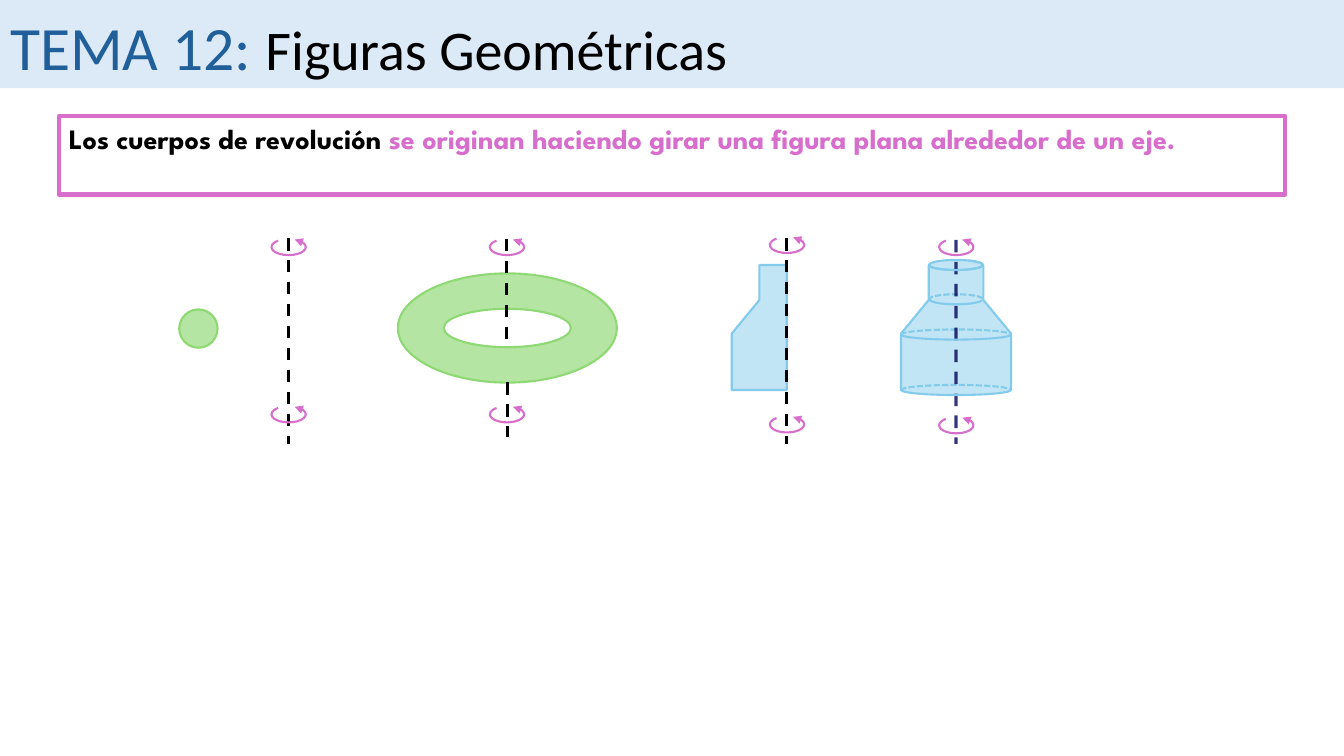
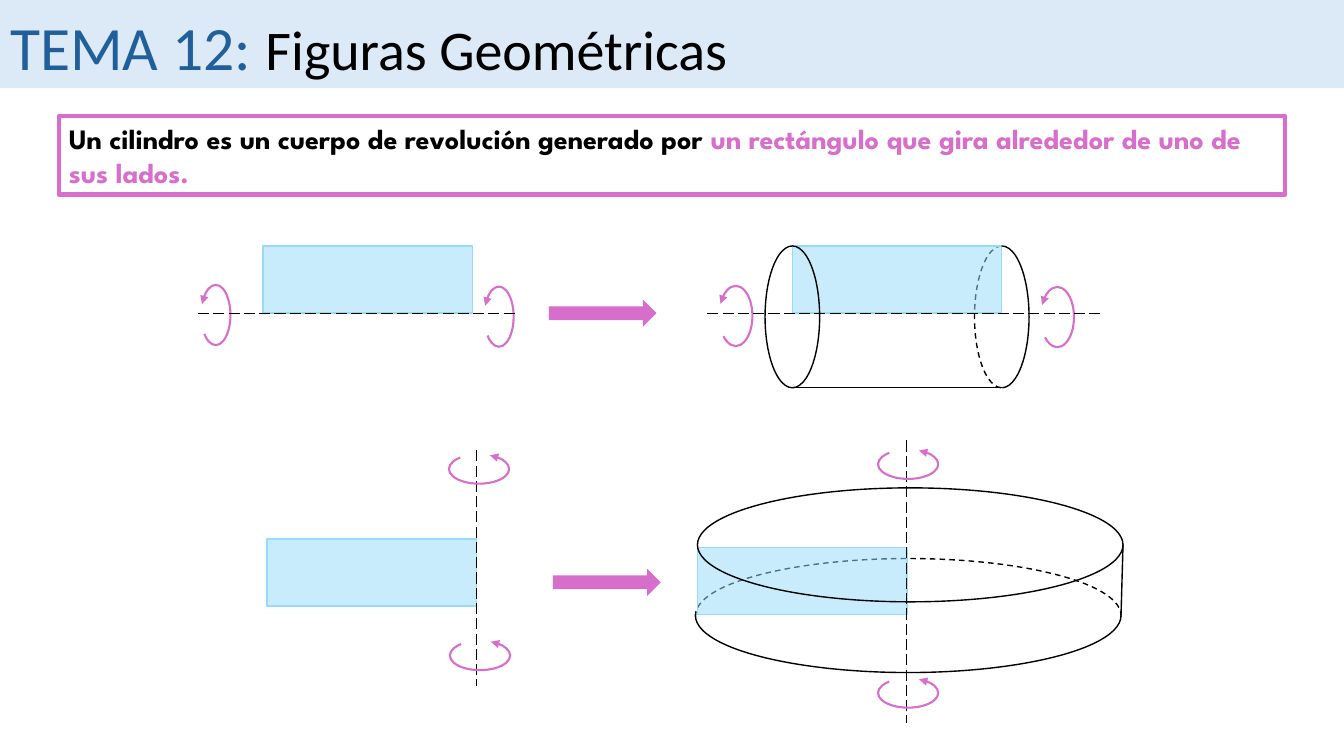
from lxml import etree
from pptx import Presentation
from pptx.dml.color import RGBColor
from pptx.enum.dml import MSO_LINE
from pptx.enum.shapes import MSO_CONNECTOR, MSO_SHAPE
from pptx.enum.text import MSO_ANCHOR, MSO_AUTO_SIZE, PP_ALIGN
from pptx.oxml.ns import qn
from pptx.util import Pt

RECT, ELLIPSE, ARC = MSO_SHAPE.RECTANGLE, MSO_SHAPE.OVAL, MSO_SHAPE.ARC
RIGHT_ARROW, STRAIGHT = MSO_SHAPE.RIGHT_ARROW, MSO_CONNECTOR.STRAIGHT
DASH, SYS_DASH, LONG_DASH = MSO_LINE.DASH, MSO_LINE.SQUARE_DOT, MSO_LINE.LONG_DASH
TOP, LEFT, NO_FIT = MSO_ANCHOR.TOP, PP_ALIGN.LEFT, MSO_AUTO_SIZE.NONE

COLORS = {
    "black": "000000", "band": "DCEAF7", "heading": "215F9A", "pink": "D86ECC",
    "green": "B4E5A2", "green_edge": "8ED973", "blue": "C1E5F5",
    "blue_edge": "83CBEB", "sky": "96DCF8", "navy": "000059",
}
# Each pen: colour, width, dash, opacity in percent
PENS = {
    "frame": ("pink", 3, None, 100),
    "spin": ("pink", 1.5, None, 100),
    "ring": ("green_edge", 1.5, None, 100),
    "solid": ("blue_edge", 1.5, None, 100),
    "base": ("blue", 1.5, None, 100),
    "hidden": ("blue_edge", 1.5, SYS_DASH, 100),
    "axis": ("black", 2.25, DASH, 100),
    "vessel_axis": ("navy", 2.25, DASH, 78),
    "thin_axis": ("black", 1, LONG_DASH, 100),
    "edge": ("black", 1, None, 100),
    "hidden_edge": ("black", 1, DASH, 100),
    "section": ("sky", 1, None, 100),
}
BAND = (0, 0, 960, 63)
TITLE = (0, 3, 853, 60.5)
FRAME = (42, 82.8, 876, 56.2)
DEFINITION = (42, 83.4, 876, 55.5)
SMALL_SPIN, BIG_SPIN, WIDE_SPIN = (24.5, 11.5), (43, 21), (43, 23.8)
SECTION_W, SECTION_H = 149.6, 48
SPIN_ANGLES = (328.77, 231.54)
QUARTER_CURVE = 0.55  # control distance of a quarter ellipse, in radii


def rgb(name):
    return RGBColor.from_string(COLORS[name])


def set_opacity(fill_parent, percent):
    if percent < 100:
        color = fill_parent.find(qn("a:solidFill")).find(qn("a:srgbClr"))
        etree.SubElement(color, qn("a:alpha")).set("val", str(percent * 1000))


def stroke(shape, pen):
    color, width, dash, opacity = PENS[pen]
    shape.line.color.rgb = rgb(color)
    shape.line.width = Pt(width)
    if dash:
        shape.line.dash_style = dash
    set_opacity(shape.line._get_or_add_ln(), opacity)


def paint(shape, fill=None, pen=None, opacity=100):
    shape.shadow.inherit = False
    if fill:
        shape.fill.solid()
        shape.fill.fore_color.rgb = rgb(fill)
        set_opacity(shape._element.spPr, opacity)
    else:
        shape.fill.background()
    if pen:
        stroke(shape, pen)
    else:
        shape.line.fill.background()
    return shape


def draw(scene, kind, box, fill=None, pen=None, opacity=100):
    return paint(scene.add_shape(kind, *map(Pt, box)), fill, pen, opacity)


def draw_line(scene, start, end, pen):
    line = scene.add_connector(STRAIGHT, *map(Pt, (*start, *end)))
    stroke(line, pen)
    etree.SubElement(line._element.spPr, qn("a:effectLst"))


def draw_arc(scene, box, start, end, pen, flip=False):
    """Arc of the ellipse in box, clockwise between two angles in degrees."""
    arc = draw(scene, ARC, box, pen=pen)
    for index, degrees in enumerate((start, end)):
        arc.adjustments[index] = degrees * 0.6
    if flip:
        arc._element.spPr.find(qn("a:xfrm")).set("flipH", "1")
    return arc


def draw_spin(scene, x, y, size, rotation=0):
    """Turning arrow centred on a point."""
    width, height = size
    box = (x - width / 2, y - height / 2, width, height)
    spin = draw_arc(scene, box, *SPIN_ANGLES, "spin", flip=True)
    spin.rotation = rotation
    etree.SubElement(spin.line._get_or_add_ln(), qn("a:tailEnd")).set("type", "triangle")


def draw_outline(scene, contours, fill, pen):
    contours = [[(Pt(x), Pt(y)) for x, y in contour] for contour in contours]
    builder = scene.build_freeform(*contours[0][0])
    for index, contour in enumerate(contours):
        if index:
            builder.move_to(*contour[0])
        builder.add_line_segments(contour[1:], close=True)
    return paint(builder.convert_to_shape(), fill, pen)


def ellipse_corners(x, y, width, height, turn):
    """Closed round of the four extreme points; turn is 1 or -1."""
    across, down = turn * width / 2, height / 2
    return [(x, y - down), (x + across, y), (x, y + down), (x - across, y), (x, y - down)]


def round_quarters(outline):
    """Turn each straight side of ellipse_corners into a quarter ellipse."""
    for path in outline._element.iter(qn("a:path")):
        for step in list(path):
            if step.tag == qn("a:close"):
                continue
            point = tuple(int(step[0].get(axis)) for axis in "xy")
            if step.tag == qn("a:moveTo"):
                start, vertical = point, True
                continue
            factors = (QUARTER_CURVE, 1) if vertical else (1, QUARTER_CURVE)
            first, second = (
                [round(a + (b - a) * k) for a, b, k in zip(origin, target, weights)]
                for origin, target, weights in (
                    (start, point, (factors[0] % 1, factors[1] % 1)),
                    (point, start, (factors[1] % 1, factors[0] % 1))))
            curve = etree.Element(qn("a:cubicBezTo"))
            for x, y in (first, second, point):
                etree.SubElement(curve, qn("a:pt"), x=str(x), y=str(y))
            path.replace(step, curve)
            start, vertical = point, not vertical


def vessel_profile(axis, top):
    """Right-hand outline of the vessel, from neck to base."""
    return [(axis + radius, top + depth)
            for radius, depth in ((19.5, 0), (19.5, 25), (39.3, 49), (39.3, 89.3))]


def add_small_spins(scene, axis, *levels):
    for level in levels:
        draw_spin(scene, axis + 0.2, level, SMALL_SPIN)


def circle_scene(scene, axis, top):
    draw(scene, ELLIPSE, (axis - 78, top + 51, 27.4, 27.4), "green", "ring")
    draw_line(scene, (axis, top), (axis, top + 147), "axis")
    add_small_spins(scene, axis, top + 6.5, top + 126)


def ring_scene(scene, axis, top):
    center = top + 64.3
    ring = draw_outline(scene, [ellipse_corners(axis + 0.4, center, 90.8, 27.4, -1),
                                ellipse_corners(axis + 0.4, center, 156.5, 78, 1)],
                        "green", "ring")
    round_quarters(ring)
    for x, start, end in ((axis, 0.7, 76.2), (axis + 0.5, 103, 142.5)):
        draw_line(scene, (x, top + start), (x, top + end), "axis")
    add_small_spins(scene, axis, top + 6.5, top + 126)


def half_vessel_scene(scene, axis, top):
    profile = [(2 * axis - x, y) for x, y in vessel_profile(axis, top + 19.3)]
    corners = [(axis, profile[-1][1]), (axis, profile[0][1])]
    draw_outline(scene, [profile + corners], "blue", "solid")
    draw_line(scene, (axis, top), (axis, top + 147), "axis")
    add_small_spins(scene, axis, top + 5, top + 133.2)


def vessel_scene(scene, axis, top):
    right = vessel_profile(axis, top + 19.3)
    left = [(2 * axis - x, y) for x, y in reversed(right)]
    draw_outline(scene, [right + left], "blue", "solid")

    def rim(width, depth, height=7.2):
        return (axis - width / 2, top + depth, width, height)

    mouth, neck, shoulder, base = rim(38.5, 15.7), rim(38.5, 40.2), rim(78.5, 65.4), rim(78.5, 105)
    draw(scene, ELLIPSE, mouth, "blue", "solid")
    draw(scene, ELLIPSE, rim(75, 105, 5.8), "blue", "base")
    for box, start, end in ((neck, 177.48, 0), (base, 179.46, 358.78), (shoulder, 179.46, 0)):
        draw_arc(scene, box, start, end, "hidden")
    draw_line(scene, (axis, top + 1.4), (axis, top + 147), "vessel_axis")
    for box, start, end in ((shoulder, 0.63, 180.23), (neck, 2.8, 180),
                            (mouth, 340.46, 175.12), (base, 0.63, 180.23)):
        draw_arc(scene, box, start, end, "solid")
    add_small_spins(scene, axis, top + 6.5, top + 133.8)


def draw_section(scene, left, top):
    draw(scene, RECT, (left, top, SECTION_W, SECTION_H), "sky", "section", 52)


def lying_rectangle_scene(scene, left, top):
    draw_section(scene, left, top)
    for x, y in ((-33.9, 49.3), (168.4, 50.5)):
        draw_spin(scene, left + x, top + y, BIG_SPIN, 270)
    axis = top + SECTION_H + 0.2
    draw_line(scene, (left - 46.5, axis), (left + 182, axis), "thin_axis")


def lying_cylinder_scene(scene, left, top):
    width, height = 39, 101.3
    right = left + SECTION_W
    far_end = (right - width / 2, top, width, height)
    draw_arc(scene, far_end, 270, 89.54, "hidden_edge", flip=True)
    draw_section(scene, left, top)
    draw(scene, ELLIPSE, (left - width / 2, top, width, height), pen="edge")
    draw_arc(scene, far_end, 270, 89.54, "edge")
    draw_line(scene, (left, top + height), (right, top + height), "edge")
    for x, y in ((-40.4, 50), (189.3, 50.8)):
        draw_spin(scene, left + x, top + y, WIDE_SPIN, 270)
    axis = top + SECTION_H + 0.2
    draw_line(scene, (left - 60.7, axis), (left + 222.8, axis), "thin_axis")


def standing_rectangle_scene(scene, left, top):
    draw_section(scene, left, top)
    axis = left + SECTION_W
    draw_line(scene, (axis, top - 63.4), (axis, top + 105), "thin_axis")
    for x, y in ((1.8, -50), (2.5, 83.2)):
        draw_spin(scene, axis + x, top + y, BIG_SPIN)


def standing_cylinder_scene(scene, left, top):
    width, height = 304, 81.4
    lower_rim = (left - 1.4, top + 8, width, height)
    draw_arc(scene, lower_rim, 179.65, 0.55, "hidden_edge")
    draw_section(scene, left, top)
    draw(scene, ELLIPSE, (left, top - 42.5, width, height), pen="edge")
    draw_arc(scene, lower_rim, 359.32, 180.36, "edge")
    axis = left + SECTION_W - 0.3
    draw_line(scene, (axis, top - 76.4), (axis, top + 125.2), "thin_axis")
    draw_line(scene, (left + width, top - 2.2), (left + width - 1.4, top + 46.8), "edge")
    for y in (-59.4, 104):
        draw_spin(scene, axis + 1.2, top + y, BIG_SPIN)


def write(placeholder, box, runs):
    """Fill a placeholder with one paragraph of (text, colour, format) runs."""
    placeholder.left, placeholder.top, placeholder.width, placeholder.height = map(Pt, box)
    frame = placeholder.text_frame
    for name, value in {"word_wrap": True, "auto_size": NO_FIT, "vertical_anchor": TOP}.items():
        setattr(frame, name, value)
    paragraph = frame.paragraphs[0]
    properties = paragraph._p.get_or_add_pPr()
    for name in ("marL", "indent"):
        properties.set(name, "0")
    etree.SubElement(properties, qn("a:buNone"))
    paragraph.alignment, paragraph.space_before = LEFT, Pt(0)
    for text, color, style in runs:
        run = paragraph.add_run()
        run.text = text
        run.font.color.rgb = rgb(color)
        for name, value in style.items():
            setattr(run.font, name, value)


def add_topic_slide(deck, term, explanation, scenes, arrows=()):
    slide = deck.slides.add_slide(deck.slide_layouts[1])
    band = draw(slide.shapes, RECT, BAND, "band")
    slide.shapes.title._element.addprevious(band._element)
    write(slide.shapes.title, TITLE, [
        ("TEMA 12: ", "heading", {"name": "Calibri", "size": Pt(44)}),
        ("Figuras Geométricas", "black", {"name": "Calibri", "size": Pt(40)})])
    strong = {"name": "League Spartan", "size": Pt(20), "bold": True}
    write(slide.placeholders[1], DEFINITION,
          [(term, "black", strong), (explanation, "pink", strong)])
    draw(slide.shapes, RECT, FRAME, pen="frame")
    for left, top in arrows:
        draw(slide.shapes, RIGHT_ARROW, (left, top, 77, 19.5), "pink")
    for build_scene, x, y in scenes:
        build_scene(slide.shapes.add_group_shape().shapes, x, y)


def main():
    deck = Presentation()
    deck.slide_width, deck.slide_height = Pt(960), Pt(540)
    add_topic_slide(
        deck, "Los cuerpos de revolución ",
        "se originan haciendo girar una figura plana alrededor de un eje.",
        [(circle_scene, 206, 170), (ring_scene, 362, 170),
         (half_vessel_scene, 562, 170), (vessel_scene, 682.9, 170)])
    add_topic_slide(
        deck, "Un cilindro es un cuerpo de revolución generado por ",
        "un rectángulo que gira alrededor de uno de sus lados.",
        [(lying_rectangle_scene, 188, 175.7), (lying_cylinder_scene, 566, 175.7),
         (standing_rectangle_scene, 190.8, 385), (standing_cylinder_scene, 498.2, 391)],
        arrows=[(392, 214), (395, 406.2)])
    deck.save("out.pptx")


if __name__ == "__main__":
    main()
